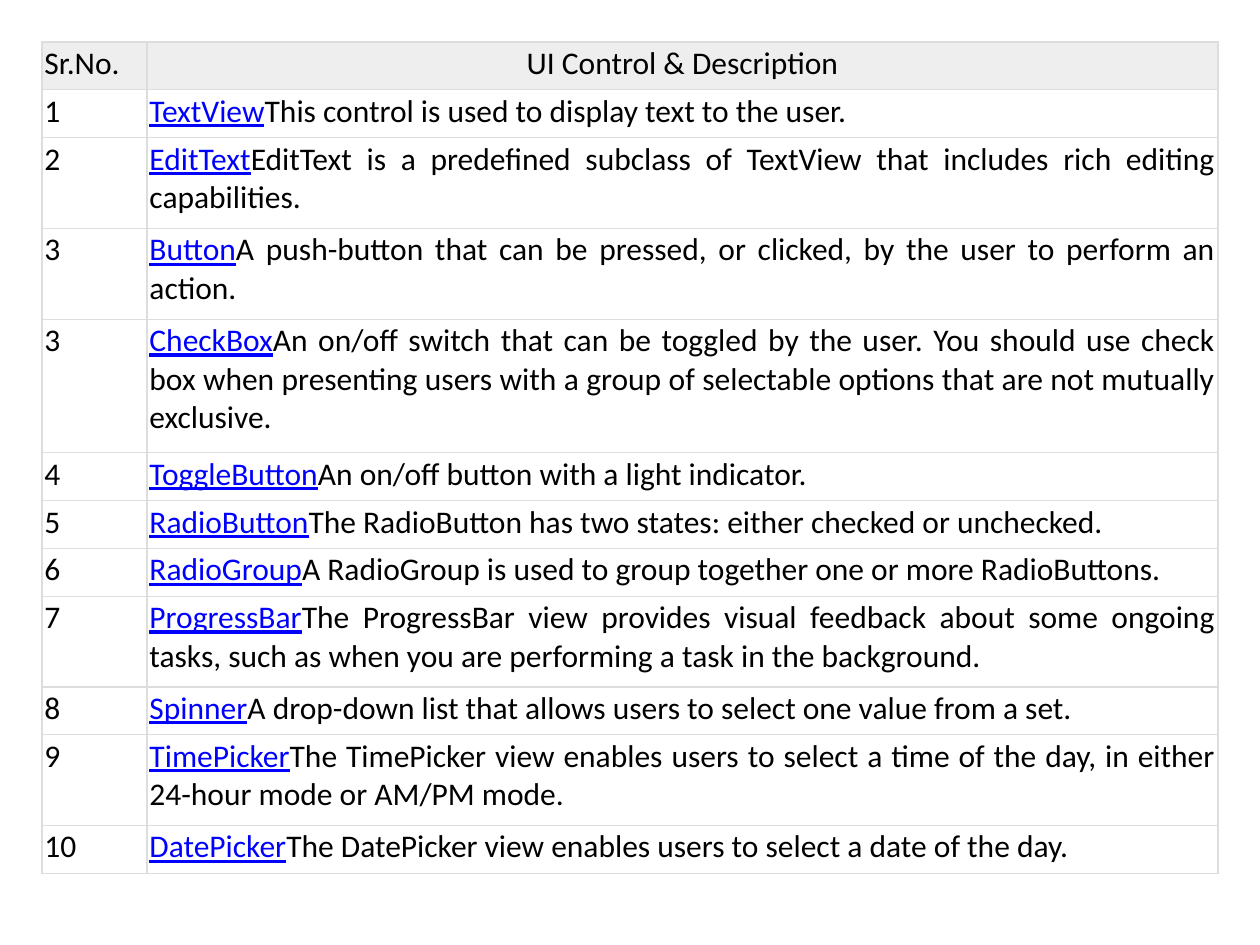
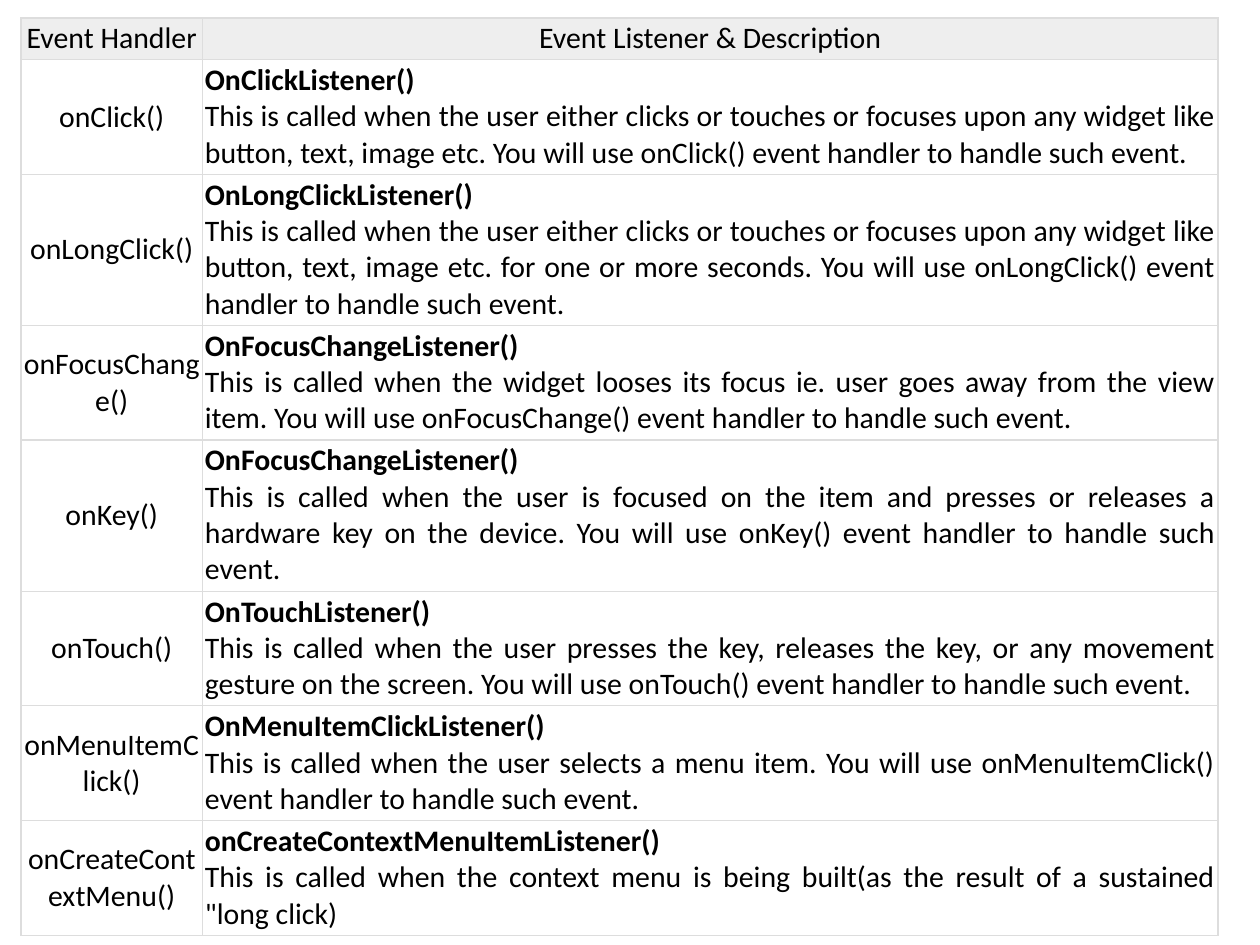
from pptx import Presentation
from pptx.dml.color import RGBColor
from pptx.enum.text import MSO_ANCHOR, PP_ALIGN
from pptx.oxml import parse_xml
from pptx.oxml.ns import nsdecls
from pptx.util import Inches, Pt

WIDE, HIGH = 10, 7.5
PAD = 0.04
COLORS = {"text": "000000", "link": "0000FF", "head": "EEEEEE", "rule": "DDDDDD"}
STYLES = {
    "plain": {"bold": False, "underline": False},
    "name": {"bold": True, "underline": False},
    "link": {"bold": False, "underline": True},
}
LEFT, MID, JUST = PP_ALIGN.LEFT, PP_ALIGN.CENTER, PP_ALIGN.JUSTIFY
TOP, HALF = MSO_ANCHOR.TOP, MSO_ANCHOR.MIDDLE

# Each row: first cell, term, description, lines of text
CONTROLS = [
    ("1", "TextView", "This control is used to display text to the user.", 1),
    ("2", "EditText", "EditText is a predefined subclass of TextView that includes "
     "rich editing capabilities.", 2),
    ("3", "Button", "A push-button that can be pressed, or clicked, by the user to "
     "perform an action.", 2),
    ("3", "CheckBox", "An on/off switch that can be toggled by the user. You should use "
     "check box when presenting users with a group of selectable options that are not "
     "mutually exclusive.", 3),
    ("4", "ToggleButton", "An on/off button with a light indicator.", 1),
    ("5", "RadioButton", "The RadioButton has two states: either checked or unchecked.", 1),
    ("6", "RadioGroup", "A RadioGroup is used to group together one or more "
     "RadioButtons.", 1),
    ("7", "ProgressBar", "The ProgressBar view provides visual feedback about some "
     "ongoing tasks, such as when you are performing a task in the background.", 2),
    ("8", "Spinner", "A drop-down list that allows users to select one value from a set.", 1),
    ("9", "TimePicker", "The TimePicker view enables users to select a time of the day, "
     "in either 24-hour mode or AM/PM mode.", 2),
    ("10", "DatePicker", "The DatePicker view enables users to select a date of the day.", 1),
]
EVENTS = [
    ("onClick()", "OnClickListener()", "This is called when the user either clicks or "
     "touches or focuses upon any widget like button, text, image etc. You will use "
     "onClick() event handler to handle such event.", 3),
    ("onLongClick()", "OnLongClickListener()", "This is called when the user either clicks "
     "or touches or focuses upon any widget like button, text, image etc. for one or more "
     "seconds. You will use onLongClick() event handler to handle such event.", 4),
    ("onFocusChange()", "OnFocusChangeListener()", "This is called when the widget looses "
     "its focus ie. user goes away from the view item. You will use onFocusChange() event "
     "handler to handle such event.", 3),
    ("onKey()", "OnFocusChangeListener()", "This is called when the user is focused on the "
     "item and presses or releases a hardware key on the device. You will use onKey() "
     "event handler to handle such event.", 4),
    ("onTouch()", "OnTouchListener()", "This is called when the user presses the key, "
     "releases the key, or any movement gesture on the screen. You will use onTouch() "
     "event handler to handle such event.", 3),
    ("onMenuItemClick()", "OnMenuItemClickListener()", "This is called when the user "
     "selects a menu item. You will use onMenuItemClick() event handler to handle such "
     "event.", 3),
    ("onCreateContextMenu()", "onCreateContextMenuItemListener()", "This is called when "
     "the context menu is being built(as the result of a sustained \"long click)", 3),
]


def color(key):
    return RGBColor.from_string(COLORS[key])


def assign(item, values):
    for key, value in values.items():
        setattr(item, key, value)


def frame(cell):
    """Draw the four borders; they must come before the fill."""
    props = cell._tc.get_or_add_tcPr()
    for side in ("lnL", "lnR", "lnT", "lnB"):
        props.append(parse_xml(
            f'<a:{side} {nsdecls("a")} w="{Pt(0.75)}"><a:solidFill>'
            f'<a:srgbClr val="{COLORS["rule"]}"/></a:solidFill></a:{side}>'))


def write(cell, paras, size, align, anchor=TOP, fill=None):
    """Fill a cell with paragraphs, each a list of (text, style) runs."""
    sides = ("left", "right", "top", "bottom")
    assign(cell, {f"margin_{side}": Inches(PAD / 2) for side in sides})
    cell.vertical_anchor = anchor
    frame(cell)
    if fill:
        cell.fill.solid()
        cell.fill.fore_color.rgb = color(fill)
    else:
        cell.fill.background()
    for i, runs in enumerate(paras):
        para = cell.text_frame.paragraphs[0] if i == 0 else cell.text_frame.add_paragraph()
        para.alignment = align
        for text, style in runs:
            run = para.add_run()
            run.text = text
            assign(run.font, {"name": "Calibri", "size": Pt(size), **STYLES[style]})
            run.font.color.rgb = color("link" if style == "link" else "text")


def add_grid(deck, heads, rows, left, top, cols, size, pitch, align, anchor, join):
    """Add a slide with one table; left, top and cols are shares of the slide.

    join(term, text) gives the paragraphs of the second column.
    """
    slide = deck.slides.add_slide(deck.slide_layouts[6])
    highs = [PAD + pitch * lines for lines in [1] + [row[-1] for row in rows]]
    grid = slide.shapes.add_table(
        len(highs), len(cols), Inches(left * WIDE), Inches(top * HIGH),
        Inches(sum(cols) * WIDE), Inches(sum(highs))).table
    assign(grid, {"first_row": False, "horz_banding": False})
    for col, share in zip(grid.columns, cols):
        col.width = Inches(share * WIDE)
    for row, high in zip(grid.rows, highs):
        row.height = Inches(high)
    for i, (head, side) in enumerate(zip(heads, (align, MID))):
        write(grid.cell(0, i), [[(head, "plain")]], size, side, fill="head")
    for i, (label, term, text, _) in enumerate(rows, 1):
        write(grid.cell(i, 0), [[(label, "plain")]], size, align, anchor)
        write(grid.cell(i, 1), join(term, text), size, JUST)


def inline(term, text):
    return [[(term, "link"), (text, "plain")]]


def stacked(term, text):
    return [[(term, "name")], [(text, "plain")]]


def main():
    deck = Presentation()
    assign(deck, {"slide_width": Inches(WIDE), "slide_height": Inches(HIGH)})
    add_grid(deck, ("Sr.No.", "UI Control & Description"), CONTROLS,
             left=1 / 30, top=2 / 45, cols=(1 / 12, 0.85), size=18, pitch=0.34,
             align=LEFT, anchor=TOP, join=inline)
    add_grid(deck, ("Event Handler", "Event Listener & Description"), EVENTS,
             left=1 / 60, top=0.02 - 0.001, cols=(0.144, 0.806), size=17, pitch=0.29,
             align=MID, anchor=HALF, join=stacked)
    deck.save("out.pptx")


if __name__ == "__main__":
    main()
